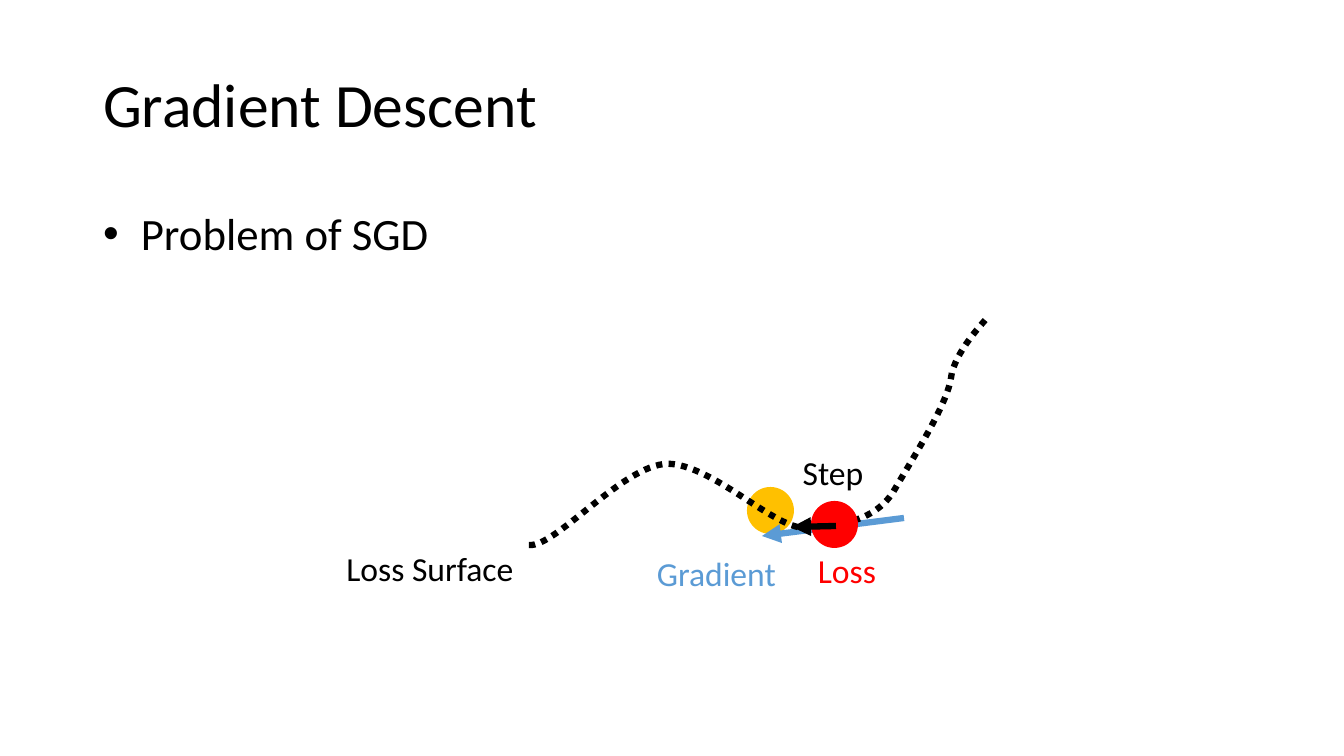
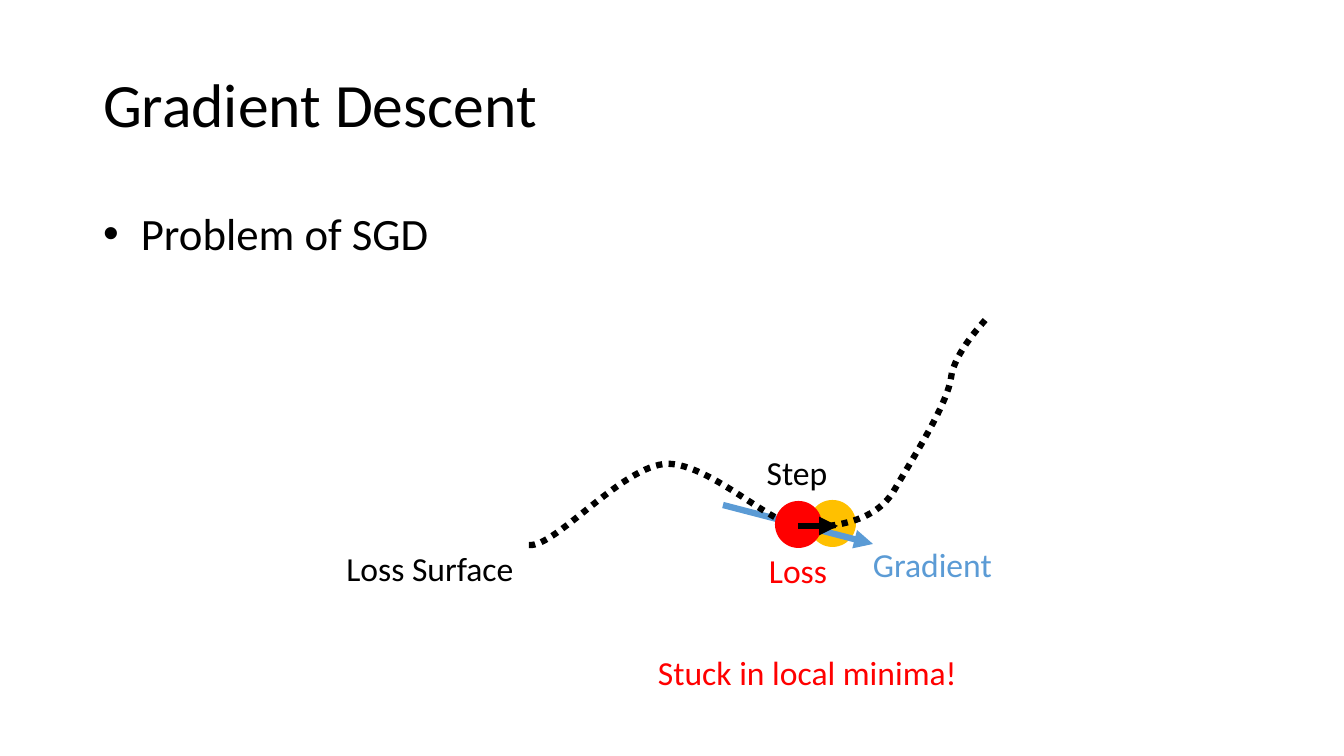
from dataclasses import dataclass

from lxml import etree
from pptx import Presentation
from pptx.dml.color import RGBColor
from pptx.enum.dml import MSO_LINE
from pptx.enum.shapes import MSO_CONNECTOR, MSO_SHAPE
from pptx.enum.text import MSO_ANCHOR, MSO_AUTO_SIZE, PP_ALIGN
from pptx.oxml.ns import qn
from pptx.util import Emu, Pt

STRAIGHT = MSO_CONNECTOR.STRAIGHT
OVAL, RECTANGLE = MSO_SHAPE.OVAL, MSO_SHAPE.RECTANGLE
DOTTED = MSO_LINE.ROUND_DOT
TOP, MIDDLE = MSO_ANCHOR.TOP, MSO_ANCHOR.MIDDLE
FIT_SHAPE = MSO_AUTO_SIZE.SHAPE_TO_FIT_TEXT
LEFT, CENTER = PP_ALIGN.LEFT, PP_ALIGN.CENTER

SCALE = 914400 / 100.8
PAGE_WIDTH, PAGE_HEIGHT = 1344, 756
TITLE_AND_CONTENT = 1
LABEL_HEIGHT = 50
BALL_SIZE = 47

SURFACE_START = (529, 545)
SURFACE_CURVES = [
    [(556, 548), (628, 459), (672, 464)],
    [(718, 469), (776, 530), (807, 528)],
    [(839, 526), (877, 521), (895, 489)],
    [(913, 458), (947, 405), (951, 378)],
    [(954, 352), (986, 320), (986, 319)],
]


@dataclass(frozen=True)
class Theme:
    font: str = "Calibri"
    ink: str = "000000"
    paper: str = "FFFFFF"
    gradient: str = "5B9BD5"
    loss: str = "FF0000"
    next_loss: str = "FFC000"
    title_size: int = 44
    body_size: int = 32
    label_size: int = 24
    line_width: float = 4.5


@dataclass(frozen=True)
class Scene:
    next_ball: tuple
    ball: tuple
    gradient_label: tuple
    gradient_arrow: tuple
    loss_label: tuple
    step_label: tuple
    step_arrow: tuple
    verdict: str = ""


THEME = Theme()

SCENES = [
    Scene(
        next_ball=(747, 487),
        ball=(811, 501),
        gradient_label=(647, 548),
        gradient_arrow=(904, 518, 762, 536),
        loss_label=(808, 545),
        step_label=(792, 447),
        step_arrow=(836, 526, 792, 527),
    ),
    Scene(
        next_ball=(809, 500),
        ball=(775, 501),
        gradient_label=(863, 539),
        gradient_arrow=(723, 505, 873, 544),
        loss_label=(759, 545),
        step_label=(756, 447),
        step_arrow=(798, 526, 838, 526),
        verdict="Stuck in local minima!",
    ),
]


def px(*lengths):
    return [Emu(round(length * SCALE)) for length in lengths]


def rgb(color):
    return RGBColor.from_string(color)


def write(frame, text, size, color, align=LEFT):
    para = frame.paragraphs[0]
    para.alignment = align
    span = para.add_run()
    span.text = text
    span.font.name = THEME.font
    span.font.size = Pt(size)
    span.font.color.rgb = rgb(color)


def fill_placeholder(holder, area, text, size, anchor):
    holder.left, holder.top, holder.width, holder.height = px(*area)
    holder.text_frame.vertical_anchor = anchor
    write(holder.text_frame, text, size, THEME.ink)


def add_label(page, place, width, text, color, wrap=False):
    box = page.shapes.add_textbox(*px(*place, width, LABEL_HEIGHT))
    box.text_frame.word_wrap = wrap
    box.text_frame.auto_size = FIT_SHAPE
    write(box.text_frame, text, THEME.label_size, color)


def add_filled(page, kind, area, color):
    shape = page.shapes.add_shape(kind, *px(*area))
    shape.shadow.inherit = False
    shape.fill.solid()
    shape.fill.fore_color.rgb = rgb(color)
    shape.line.fill.background()
    return shape


def add_plate(page, place, width, text):
    plate = add_filled(page, RECTANGLE, (*place, width, LABEL_HEIGHT), THEME.paper)
    frame = plate.text_frame
    frame.word_wrap = False
    frame.auto_size = FIT_SHAPE
    frame.vertical_anchor = TOP
    write(frame, text, THEME.label_size, THEME.ink, CENTER)


def add_ball(page, place, color):
    add_filled(page, OVAL, (*place, BALL_SIZE, BALL_SIZE), color)


def style_line(line, color):
    line.width = Pt(THEME.line_width)
    line.color.rgb = rgb(color)


def add_arrow(page, ends, color):
    arrow = page.shapes.add_connector(STRAIGHT, *px(*ends))
    style_line(arrow.line, color)
    properties = arrow.element.spPr
    etree.SubElement(properties.find(qn("a:ln")), qn("a:tailEnd"), type="triangle")
    etree.SubElement(properties, qn("a:effectLst"))


def add_surface(page):
    anchors = [SURFACE_START] + [curve[-1] for curve in SURFACE_CURVES]
    left = min(x for x, y in anchors)
    top = min(y for x, y in anchors)
    builder = page.shapes.build_freeform(*SURFACE_START, scale=SCALE)
    builder.add_line_segments(anchors[1:], close=False)
    surface = builder.convert_to_shape()
    for segment, curve in zip(list(surface.element.iter(qn("a:lnTo"))), SURFACE_CURVES):
        bezier = etree.Element(qn("a:cubicBezTo"))
        for x, y in curve:
            etree.SubElement(bezier, qn("a:pt"), x=str(x - left), y=str(y - top))
        segment.getparent().replace(segment, bezier)
    surface.shadow.inherit = False
    surface.fill.background()
    style_line(surface.line, THEME.ink)
    surface.line.dash_style = DOTTED


def add_page(deck, scene):
    page = deck.slides.add_slide(deck.slide_layouts[TITLE_AND_CONTENT])
    fill_placeholder(page.shapes.title, (93, 30, 1159, 146),
                     "Gradient Descent", THEME.title_size, MIDDLE)
    fill_placeholder(page.placeholders[1], (93, 201, 1159, 480),
                     "Problem of SGD", THEME.body_size, TOP)
    add_ball(page, scene.next_ball, THEME.next_loss)
    add_label(page, scene.gradient_label, 140, "Gradient", THEME.gradient)
    add_arrow(page, scene.gradient_arrow, THEME.gradient)
    add_label(page, scene.loss_label, 79, "Loss", THEME.loss)
    add_surface(page)
    add_plate(page, (335, 543), 190, "Loss Surface")
    add_ball(page, scene.ball, THEME.loss)
    add_arrow(page, scene.step_arrow, THEME.ink)
    add_plate(page, scene.step_label, 82, "Step")
    if scene.verdict:
        add_label(page, (648, 647), 323, scene.verdict, THEME.loss, wrap=True)


def main():
    deck = Presentation()
    deck.slide_width, deck.slide_height = px(PAGE_WIDTH, PAGE_HEIGHT)
    for scene in SCENES:
        add_page(deck, scene)
    deck.save("out.pptx")


main()
